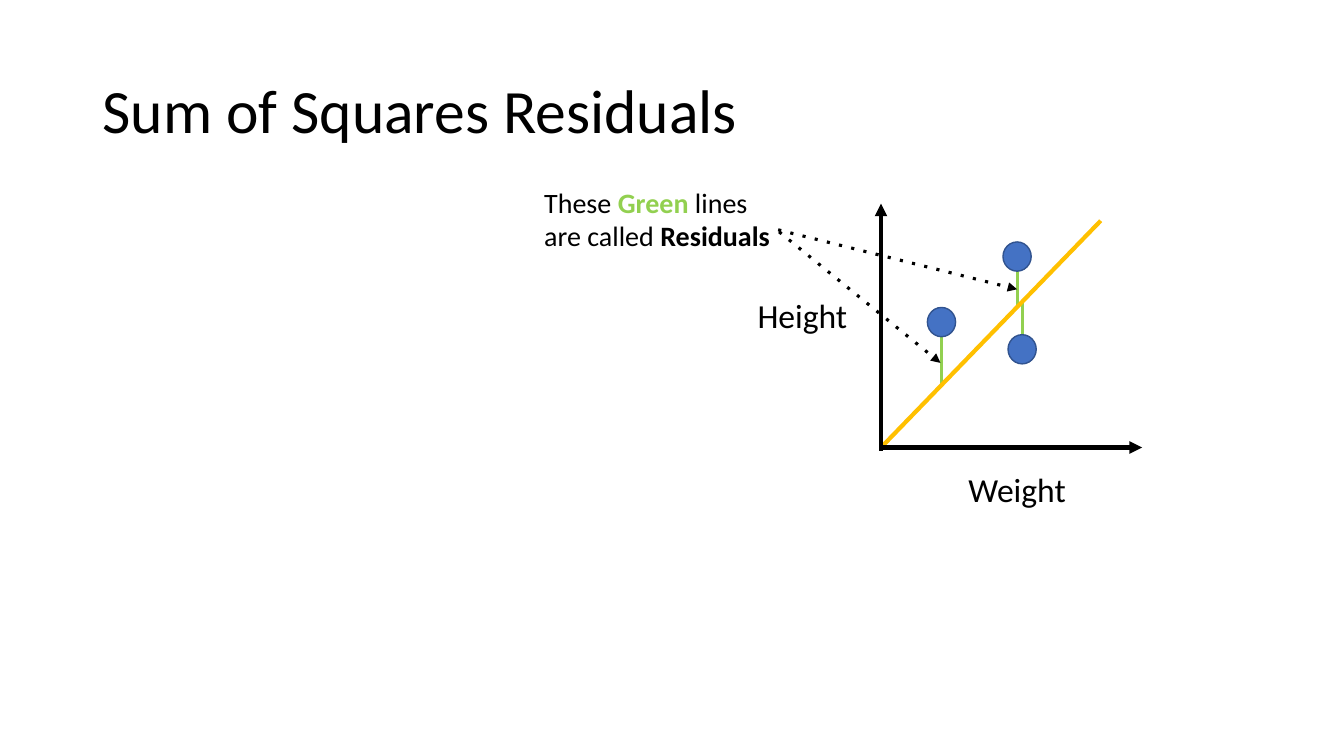
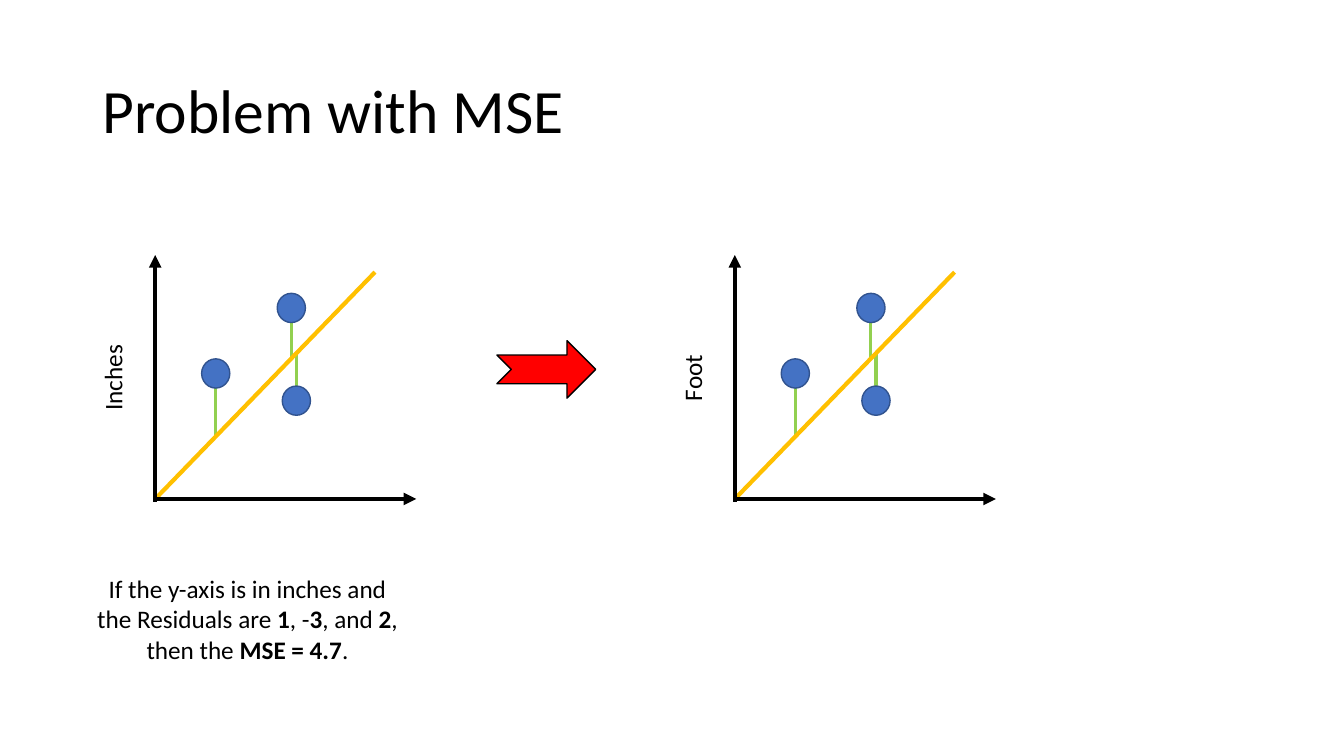
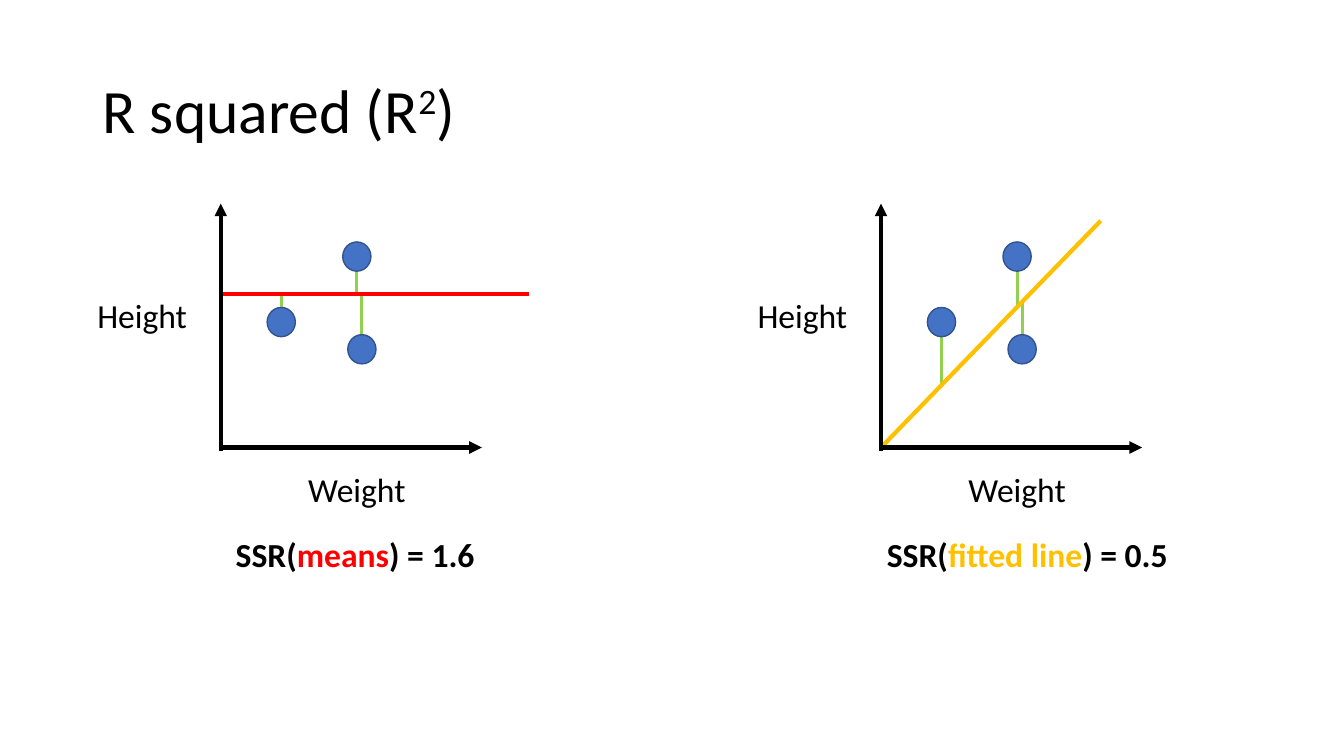
from dataclasses import dataclass
from typing import Any, Optional

from lxml import etree
from pptx import Presentation
from pptx.dml.color import RGBColor
from pptx.enum.shapes import MSO_CONNECTOR, MSO_SHAPE
from pptx.enum.text import MSO_ANCHOR, MSO_AUTO_SIZE, PP_ALIGN
from pptx.oxml.ns import qn
from pptx.util import Emu, Inches, Pt

STRAIGHT = MSO_CONNECTOR.STRAIGHT
POINT_SHAPE = MSO_SHAPE.FLOWCHART_CONNECTOR
CONVERSION_SHAPE = MSO_SHAPE.NOTCHED_RIGHT_ARROW
MIDDLE, TOP = MSO_ANCHOR.MIDDLE, MSO_ANCHOR.TOP
LEFT, CENTER = PP_ALIGN.LEFT, PP_ALIGN.CENTER
GROW, FIXED = MSO_AUTO_SIZE.SHAPE_TO_FIT_TEXT, MSO_AUTO_SIZE.NONE

BLACK = RGBColor(0x00, 0x00, 0x00)
RED = RGBColor(0xFF, 0x00, 0x00)
GREEN = RGBColor(0x92, 0xD0, 0x50)
GOLD = RGBColor(0xFF, 0xC0, 0x00)
BLUE = RGBColor(0x44, 0x72, 0xC4)
NAVY = RGBColor(0x31, 0x53, 0x8F)

CELL = Inches(0.1)
COLUMNS, ROWS = 133.33, 75
FONT = "Calibri"
BLANK_LAYOUT = 6
POINT_WIDTH, POINT_HEIGHT = 2.8, 2.9
OBSERVATIONS = ((14, 9.75), (6, 12.45), (13.5, 18.95))


@dataclass(frozen=True)
class Run:
    text: str
    color: RGBColor = BLACK
    bold: bool = False
    baseline: int = 0


@dataclass(frozen=True)
class Box:
    column: float
    row: float
    columns: float
    rows: float

    def shifted(self, column: float, row: float) -> "Box":
        return Box(self.column + column, self.row + row, self.columns, self.rows)

    def lengths(self) -> list[Emu]:
        return [cells(n) for n in (self.column, self.row, self.columns, self.rows)]


@dataclass(frozen=True)
class Trend:
    columns: float
    start: float
    end: float
    color: RGBColor

    def height(self, column: float) -> float:
        return self.start + (self.end - self.start) * column / self.columns


@dataclass(frozen=True)
class Label:
    text: str
    box: Box
    size: int
    rotation: int = 0


@dataclass(frozen=True)
class Plot:
    column: float
    row: float
    trend: Trend
    labels: tuple[Label, ...]


FITTED = Trend(21.8, 0, 22.5, GOLD)
MEAN = Trend(30.6, 15.2, 15.2, RED)
TITLE_BOX = Box(9.2, 4, 68.2, 14.5)
BODY_LABELS = (
    Label("Weight", Box(3.4, 1.6, 20.2, 5), 24),
    Label("Height", Box(-17.9, -15.6, 20.2, 5), 24),
)


def cells(count: float) -> Emu:
    return Emu(round(count * CELL))


def add_text(shapes: Any, box: Box, runs: tuple[Run, ...], size: int,
             align: Any = LEFT, frame_format: Optional[dict] = None) -> Any:
    text_box = shapes.add_textbox(*box.lengths())
    frame = text_box.text_frame
    settings = {"word_wrap": True, "auto_size": GROW, "vertical_anchor": TOP}
    for name, value in (settings | (frame_format or {})).items():
        setattr(frame, name, value)
    paragraph = frame.paragraphs[0]
    paragraph.alignment = align
    for part in runs:
        run = paragraph.add_run()
        run.text = part.text
        font_format = {"name": FONT, "size": Pt(size), "bold": part.bold}
        for name, value in font_format.items():
            setattr(run.font, name, value)
        run.font.color.rgb = part.color
        if part.baseline:
            run.font._element.set("baseline", str(part.baseline * 1000))
    return text_box


def add_line(shapes: Any, start: tuple[float, float], end: tuple[float, float],
             color: RGBColor, width: float, arrow: bool = False,
             dotted: bool = False) -> None:
    line = shapes.add_connector(STRAIGHT, *(cells(n) for n in (*start, *end)))
    line.line.color.rgb = color
    line.line.width = Pt(width)
    outline = line.line._get_or_add_ln()
    if dotted:
        etree.SubElement(outline, qn("a:prstDash"), val="dot")
    if arrow:
        etree.SubElement(outline, qn("a:tailEnd"), type="triangle")
    etree.SubElement(line._element.spPr, qn("a:effectLst"))


def add_filled(shapes: Any, kind: Any, box: Box, fill: RGBColor, edge: RGBColor) -> None:
    shape = shapes.add_shape(kind, *box.lengths())
    shape.shadow.inherit = False
    shape.fill.solid()
    shape.fill.fore_color.rgb = fill
    shape.line.color.rgb = edge
    shape.line.width = Pt(1)


def add_plot(slide: Any, plot: Plot) -> None:
    shapes = slide.shapes.add_group_shape().shapes
    trend = plot.trend

    def at(column: float, height: float) -> tuple[float, float]:
        return plot.column + column, plot.row - height

    for column, height in OBSERVATIONS:
        predicted = trend.height(column)
        side = 1 if predicted > height else -1
        edge = height + side * POINT_HEIGHT / 2
        add_line(shapes, at(column, edge), at(column, predicted), GREEN, 2.25)
    for label in plot.labels:
        text_box = add_text(shapes, label.box.shifted(plot.column, plot.row),
                            (Run(label.text),), label.size, CENTER)
        text_box.rotation = label.rotation
    for column, height in OBSERVATIONS:
        corner = at(column - POINT_WIDTH / 2, height + POINT_HEIGHT / 2)
        add_filled(shapes, POINT_SHAPE, Box(*corner, POINT_WIDTH, POINT_HEIGHT), BLUE, NAVY)
    add_line(shapes, at(0, trend.start), at(trend.columns, trend.end), trend.color, 3)
    add_line(shapes, at(0, -0.3), at(0, 24.2), BLACK, 3, arrow=True)
    add_line(shapes, at(0, 0), at(25.9, 0), BLACK, 3, arrow=True)


def add_slide(deck: Any, *title: Run) -> Any:
    slide = deck.slides.add_slide(deck.slide_layouts[BLANK_LAYOUT])
    heading = add_text(slide.shapes, TITLE_BOX, title, 44,
                       frame_format={"vertical_anchor": MIDDLE, "auto_size": FIXED})
    heading.text_frame.paragraphs[0].line_spacing = 0.9
    return slide


def add_residuals_slide(deck: Any) -> None:
    slide = add_slide(deck, Run("Sum of Squares Residuals"))
    add_plot(slide, Plot(87.4, 44.4, FITTED, BODY_LABELS))
    for start, end in (((77.3, 23), (93.3, 36)), ((77.2, 22.8), (100.9, 28.7))):
        add_line(slide.shapes, start, end, BLACK, 2.25, arrow=True, dotted=True)
    explanation = (Run("These "), Run("Green", GREEN, True),
                   Run(" lines are called "), Run("Residuals", bold=True))
    add_text(slide.shapes, Box(53, 17.9, 24.5, 7.7), explanation, 20)


def add_mse_slide(deck: Any) -> None:
    slide = add_slide(deck, Run("Problem with MSE"))
    for column, unit in ((15.4, "Inches"), (72.9, "Foot")):
        label = Label(unit, Box(-10.8, -14, 13.1, 4), 18, 270)
        add_plot(slide, Plot(column, 49.5, FITTED, (label,)))
    example = (
        Run("If the y-axis is in inches and the Residuals are "), Run("1", bold=True),
        Run(", -"), Run("3", bold=True), Run(", and "), Run("2", bold=True),
        Run(", then the "), Run("MSE = 4.7", bold=True), Run("."),
    )
    add_text(slide.shapes, Box(7.9, 56.4, 33.3, 10.1), example, 18, CENTER)
    add_filled(slide.shapes, CONVERSION_SHAPE, Box(49.3, 33.8, 9.8, 5.7), RED, BLACK)


def add_r_squared_slide(deck: Any) -> None:
    slide = add_slide(deck, Run("R squared (R"), Run("2", baseline=30), Run(")"))
    comparisons = (
        (87.4, FITTED, "fitted line", "0.5", Box(87, 52.5, 30.6, 5)),
        (21.9, MEAN, "means", "1.6", Box(22.4, 52.5, 25.9, 5)),
    )
    for column, trend, name, total, box in comparisons:
        add_plot(slide, Plot(column, 44.4, trend, BODY_LABELS))
        result = (Run("SSR(", bold=True), Run(name, trend.color, True),
                  Run(f") = {total}", bold=True))
        add_text(slide.shapes, box, result, 24)


def main() -> None:
    deck = Presentation()
    deck.slide_width, deck.slide_height = cells(COLUMNS), cells(ROWS)
    for build in (add_residuals_slide, add_mse_slide, add_r_squared_slide):
        build(deck)
    deck.save("out.pptx")


if __name__ == "__main__":
    main()
